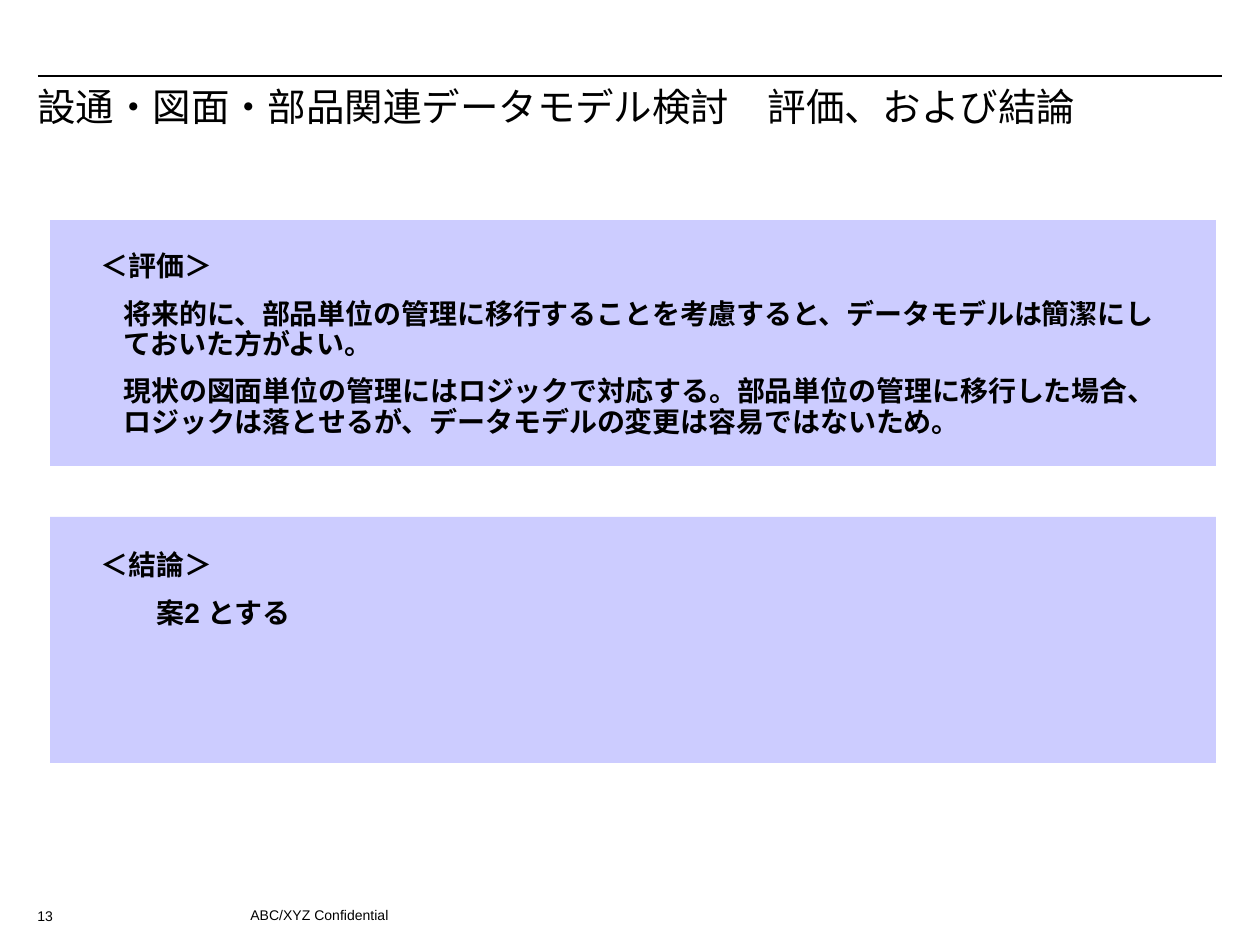
from lxml.etree import SubElement
from pptx import Presentation
from pptx.dml.color import RGBColor
from pptx.enum.shapes import MSO_CONNECTOR as Connector, MSO_SHAPE as Shape
from pptx.oxml.ns import qn
from pptx.util import Pt

# Content
COLORS = {"ink": "000000", "panel": "CCCCFF"}
FONT = "Arial"
RULE = (38, 76, 1222, 76)
PANELS = [(50, 220, 1166, 246), (50, 517, 1166, 246)]

# Each text box: position, format, paragraphs as (left indent, text)
TITLE_FORMAT = {"size": Pt(22), "bold": False, "name": FONT}
BODY_FORMAT = {"size": Pt(16), "bold": True, "name": FONT}
FOOTER_FORMAT = {"size": Pt(8), "bold": False, "name": FONT}
TEXTS = [
    ((25, 82, 1216, 102), TITLE_FORMAT, 0.9,
     [(0, "設通・図面・部品関連データモデル検討　評価、および結論")]),
    ((88, 246, 1090, 200), BODY_FORMAT, 0.9, [
        (0, "＜評価＞"),
        (23, "将来的に、部品単位の管理に移行することを考慮すると、"
             "データモデルは簡潔にしておいた方がよい。"),
        (23, "現状の図面単位の管理にはロジックで対応する。"
             "部品単位の管理に移行した場合、ロジックは落とせるが、"
             "データモデルの変更は容易ではないため。"),
    ]),
    ((88, 545, 1090, 90), BODY_FORMAT, 0.9,
     [(0, "＜結論＞"), (56, "案2 とする")]),
    ((238, 900, 819, 25), FOOTER_FORMAT, 1.0, [(0, "ABC/XYZ Confidential")]),
    ((25, 901, 50, 25), FOOTER_FORMAT, 1.0, [(0, "13")]),
]


def px(*lengths):
    return [round(length * 914400 / 126) for length in lengths]


def color(name):
    return RGBColor.from_string(COLORS[name])


def add_text(slide, box, font_format, line_spacing, paragraphs):
    frame = slide.shapes.add_textbox(*px(*box)).text_frame
    frame.word_wrap = True
    for index, (indent, text) in enumerate(paragraphs):
        paragraph = frame.add_paragraph() if index else frame.paragraphs[0]
        paragraph.line_spacing = line_spacing
        paragraph.space_before = Pt(10 if index else 0)
        if indent:
            paragraph._p.get_or_add_pPr().set("marL", str(px(indent)[0]))
        run = paragraph.add_run()
        run.text = text
        for name, value in font_format.items():
            setattr(run.font, name, value)
        run.font.color.rgb = color("ink")


def main():
    presentation = Presentation()
    presentation.slide_width, presentation.slide_height = px(1260, 945)
    slide = presentation.slides.add_slide(presentation.slide_layouts[6])

    # Top rule
    rule = slide.shapes.add_connector(Connector.STRAIGHT, *px(*RULE))
    rule.line.color.rgb = color("ink")
    rule.line.width = Pt(0.75)
    SubElement(rule._element.spPr, qn("a:effectLst"))

    # Panels
    for box in PANELS:
        panel = slide.shapes.add_shape(Shape.RECTANGLE, *px(*box))
        panel.shadow.inherit = False
        panel.fill.solid()
        panel.fill.fore_color.rgb = color("panel")
        panel.line.fill.background()

    # Title, body and footer
    for text in TEXTS:
        add_text(slide, *text)

    presentation.save("out.pptx")


if __name__ == "__main__":
    main()
